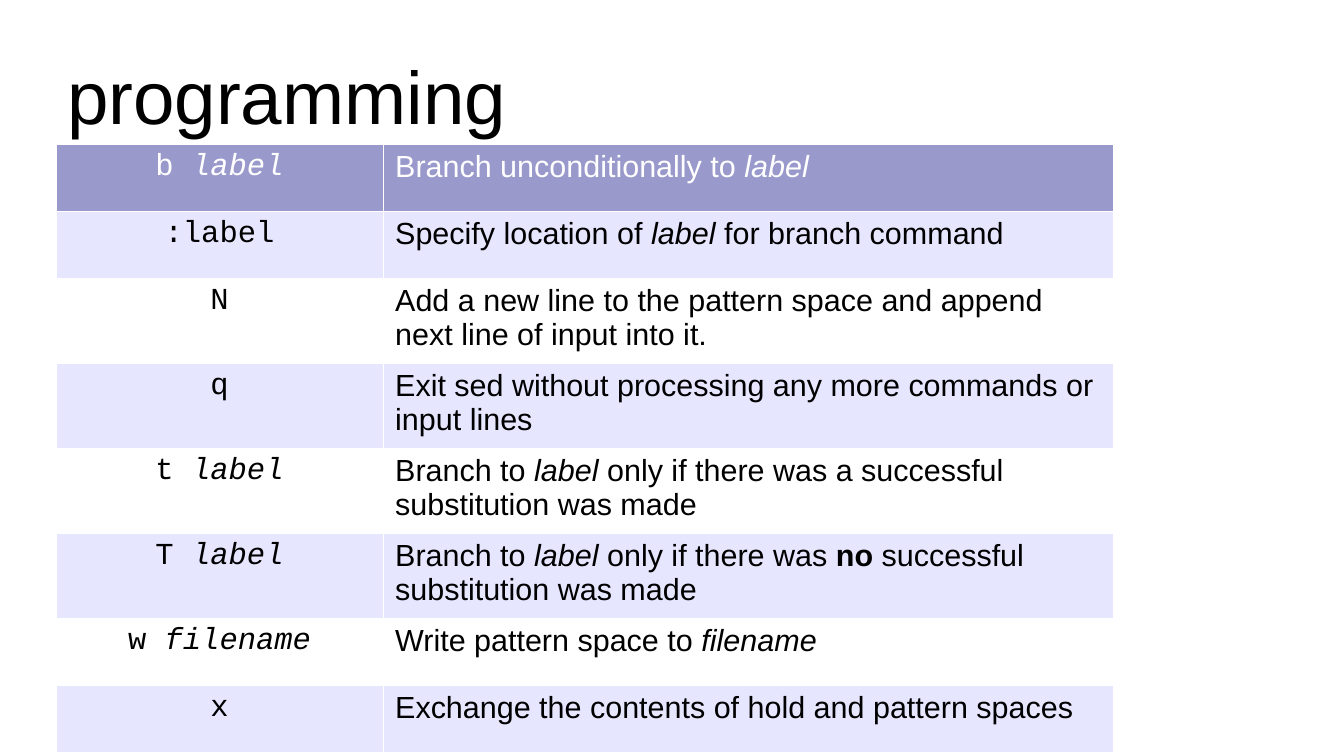
from lxml.etree import SubElement
from pptx import Presentation
from pptx.dml.color import RGBColor
from pptx.enum.text import MSO_ANCHOR, MSO_AUTO_SIZE, PP_ALIGN
from pptx.oxml.ns import qn
from pptx.util import Emu, Pt

PX = 914400 / 122
COLORS = {"black": "000000", "white": "FFFFFF", "head": "9999CC", "band": "E6E6FF"}
SANS, MONO = "Arial", "Courier New"
COLS = [327, 730]
SHORT, TALL = 67, 85

# Each row: height, command runs, meaning runs; a run is (text, style)
ROWS = [
    (SHORT, [("b ", ""), ("label", "i")],
     [("Branch unconditionally to ", ""), ("label", "i")]),
    (SHORT, [(":label", "")],
     [("Specify location of ", ""), ("label", "i"), (" for branch command", "")]),
    (TALL, [("N", "")],
     [("Add a new line to the pattern space and append next line of input into it.", "")]),
    (TALL, [("q", "")],
     [("Exit sed without processing any more commands or input lines", "")]),
    (TALL, [("t ", ""), ("label", "i")],
     [("Branch to ", ""), ("label", "i"),
      (" only if there was a successful substitution was made", "")]),
    (TALL, [("T ", ""), ("label", "i")],
     [("Branch to ", ""), ("label", "i"), (" only if there was ", ""), ("no", "b"),
      (" successful substitution was made", "")]),
    (SHORT, [("w ", ""), ("filename", "i")],
     [("Write pattern space to ", ""), ("filename", "i")]),
    (SHORT, [("x", "")],
     [("Exchange the contents of hold and pattern spaces", "")]),
]


def px(n):
    return Emu(round(n * PX))


def add_run(para, text, font, size, color, style=""):
    run = para.add_run()
    run.text = text
    run.font.name = font
    run.font.size = Pt(size)
    run.font.color.rgb = RGBColor.from_string(COLORS[color])
    run.font.italic = style == "i"
    run.font.bold = style == "b"


prs = Presentation()
prs.slide_width, prs.slide_height = px(1344), px(756)
slide = prs.slides.add_slide(prs.slide_layouts[5])

title = slide.shapes.title
title.left, title.top, title.width, title.height = px(67), px(31), px(1210), px(127)
frame = title.text_frame
frame.margin_left = frame.margin_right = frame.margin_top = frame.margin_bottom = 0
frame.vertical_anchor = MSO_ANCHOR.MIDDLE
frame.auto_size = MSO_AUTO_SIZE.NONE
frame.paragraphs[0].alignment = PP_ALIGN.LEFT
add_run(frame.paragraphs[0], "programming", SANS, 44, "black")

height = sum(row[0] for row in ROWS)
table = slide.shapes.add_table(
    len(ROWS), len(COLS), px(56), px(144), px(sum(COLS)), px(height)).table
table.first_row = table.horz_banding = False
for col, width in zip(table.columns, COLS):
    col.width = px(width)

for r, (height, *texts) in enumerate(ROWS):
    table.rows[r].height = px(height)
    fill = "head" if r == 0 else "band" if r % 2 else "white"
    ink = "white" if r == 0 else "black"
    for c, runs in enumerate(texts):
        cell = table.cell(r, c)
        props = cell._tc.get_or_add_tcPr()
        for side in ("lnL", "lnR", "lnT", "lnB"):
            line = SubElement(props, qn(f"a:{side}"), w="720")
            solid = SubElement(line, qn("a:solidFill"))
            SubElement(solid, qn("a:srgbClr"), val=COLORS["white"])
        cell.fill.solid()
        cell.fill.fore_color.rgb = RGBColor.from_string(COLORS[fill])
        para = cell.text_frame.paragraphs[0]
        para.alignment = PP_ALIGN.LEFT if c else PP_ALIGN.CENTER
        for text, style in runs:
            add_run(para, text, SANS if c else MONO, 18, ink, style)

prs.save("out.pptx")
